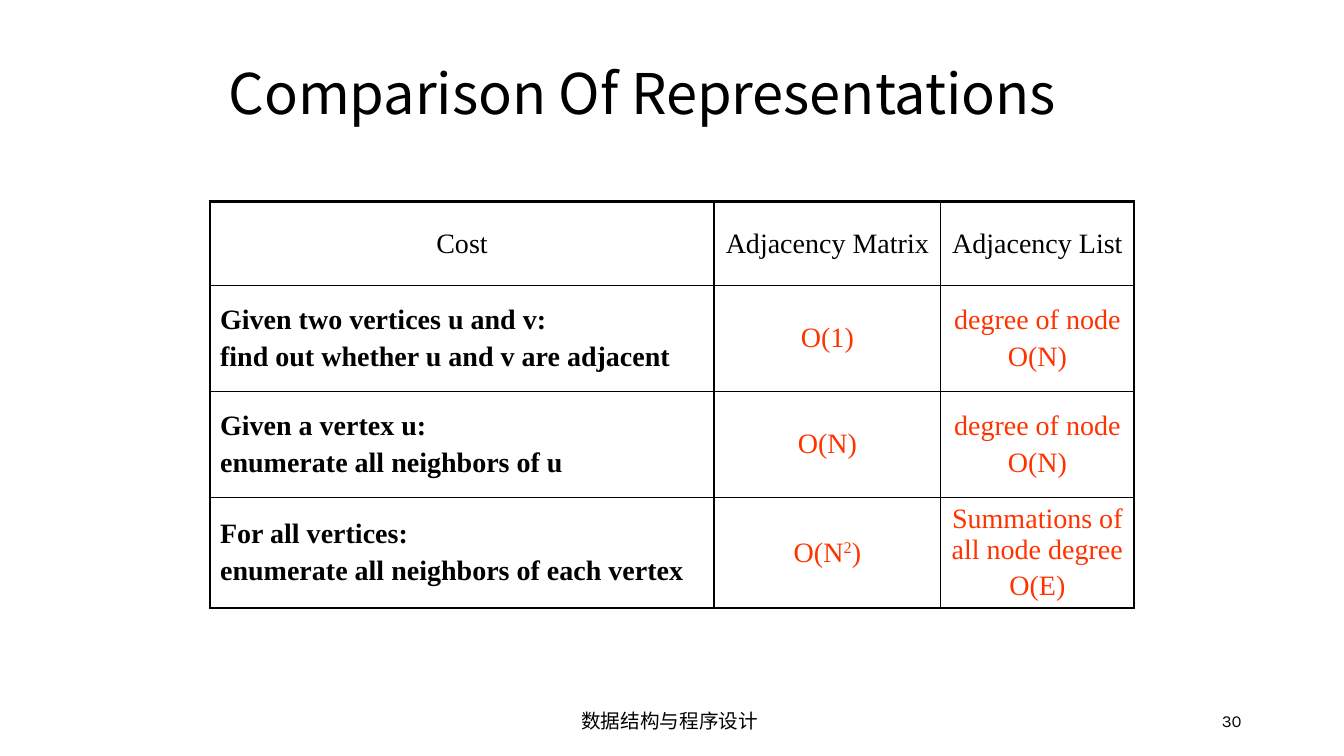
from dataclasses import dataclass

from pptx import Presentation
from pptx.dml.color import RGBColor
from pptx.enum.text import MSO_ANCHOR as Anchor, PP_ALIGN as Align
from pptx.oxml import parse_xml
from pptx.oxml.ns import nsdecls, qn
from pptx.util import Pt


@dataclass(frozen=True)
class Theme:
    ink: str = "000000"
    cost: str = "FF3300"
    head: str = "Noto Sans CJK SC"
    body: str = "Times New Roman"
    foot: str = "Karla"
    title: int = 40
    cell: int = 20
    note: int = 14
    page: int = 12
    thin: float = 1
    thick: float = 2.25


THEME = Theme()
COLS = [360, 162, 138]
ROWS = [60, 75.6, 75.6, 79.2]
# A new line starts a paragraph; text between carets is superscript
COSTS = [
    ["Cost", "Adjacency Matrix", "Adjacency List"],
    ["Given two vertices u and v:\nfind out whether u and v are adjacent",
     "O(1)", "degree of node\nO(N)"],
    ["Given a vertex u:\nenumerate all neighbors of u",
     "O(N)", "degree of node\nO(N)"],
    ["For all vertices:\nenumerate all neighbors of each vertex",
     "O(N^2^)", "Summations of all node degree\nO(E)"],
]


def style(run, face, size, color=THEME.ink, bold=False):
    font = run.font
    font.name, font.size, font.bold = face, Pt(size), bold
    font.color.rgb = RGBColor.from_string(color)
    east = parse_xml(f'<a:ea {nsdecls("a")} typeface="{THEME.head}"/>')
    font._element.find(qn("a:latin")).addnext(east)


def add_title(slide, text):
    title = slide.shapes.title
    title.left, title.top = Pt(156), Pt(24)
    title.width, title.height = Pt(660), Pt(90)
    frame = title.text_frame
    frame.text = text
    frame.vertical_anchor = Anchor.MIDDLE
    para = frame.paragraphs[0]
    para.alignment, para.line_spacing = Align.LEFT, 0.9
    style(para.runs[0], THEME.head, THEME.title)


def add_note(slide, left, width, text, size, align):
    box = slide.shapes.add_textbox(Pt(left), Pt(500.5), Pt(width), Pt(28.75))
    frame = box.text_frame
    frame.word_wrap = True
    frame.vertical_anchor = Anchor.MIDDLE
    frame.text = text
    para = frame.paragraphs[0]
    para.alignment = align
    style(para.runs[0], THEME.foot, size)


def add_edges(cell, row, col):
    outer = {"L": col == 0, "R": col == len(COLS) - 1,
             "T": row == 0, "B": row == len(ROWS) - 1}
    props = cell._tc.get_or_add_tcPr()
    for spot, (side, out) in enumerate(outer.items()):
        width = Pt(THEME.thick if out else THEME.thin)
        props.insert(spot, parse_xml(
            f'<a:ln{side} {nsdecls("a")} w="{width}"><a:solidFill>'
            f'<a:srgbClr val="{THEME.ink}"/></a:solidFill></a:ln{side}>'))


def fill_cell(cell, text, row, col):
    label = row > 0 and col == 0
    color = THEME.cost if row and col else THEME.ink
    cell.fill.background()
    cell.vertical_anchor = Anchor.MIDDLE
    frame = cell.text_frame
    frame.text = text.replace("^", "") if "^" not in text else ""
    if "^" in text:
        for spot, part in enumerate(text.split("^")):
            run = frame.paragraphs[0].add_run()
            run.text = part
            if spot % 2:
                run.font._element.set("baseline", "30000")
    for para in frame.paragraphs:
        para.alignment = Align.LEFT if label else Align.CENTER
        para.space_before = Pt(THEME.cell * 0.2)
        for run in para.runs:
            style(run, THEME.body, THEME.cell, color, label)
    add_edges(cell, row, col)


def add_costs(slide):
    table = slide.shapes.add_table(
        len(ROWS), len(COLS), Pt(150), Pt(144),
        Pt(sum(COLS)), Pt(sum(ROWS))).table
    table.first_row = table.horz_banding = False
    for col, width in zip(table.columns, COLS):
        col.width = Pt(width)
    for row, height in zip(table.rows, ROWS):
        row.height = Pt(height)
    for row, line in enumerate(COSTS):
        for col, text in enumerate(line):
            fill_cell(table.cell(row, col), text, row, col)


def main():
    deck = Presentation()
    deck.slide_width, deck.slide_height = Pt(960), Pt(540)
    slide = deck.slides.add_slide(deck.slide_layouts[5])

    # Heading and cost table
    add_title(slide, "Comparison Of Representations")
    add_costs(slide)

    # Footer and page number
    add_note(slide, 318, 324, "数据结构与程序设计 ", THEME.note, Align.CENTER)
    add_note(slide, 678, 216, "30", THEME.page, Align.RIGHT)
    deck.save("out.pptx")


if __name__ == "__main__":
    main()
